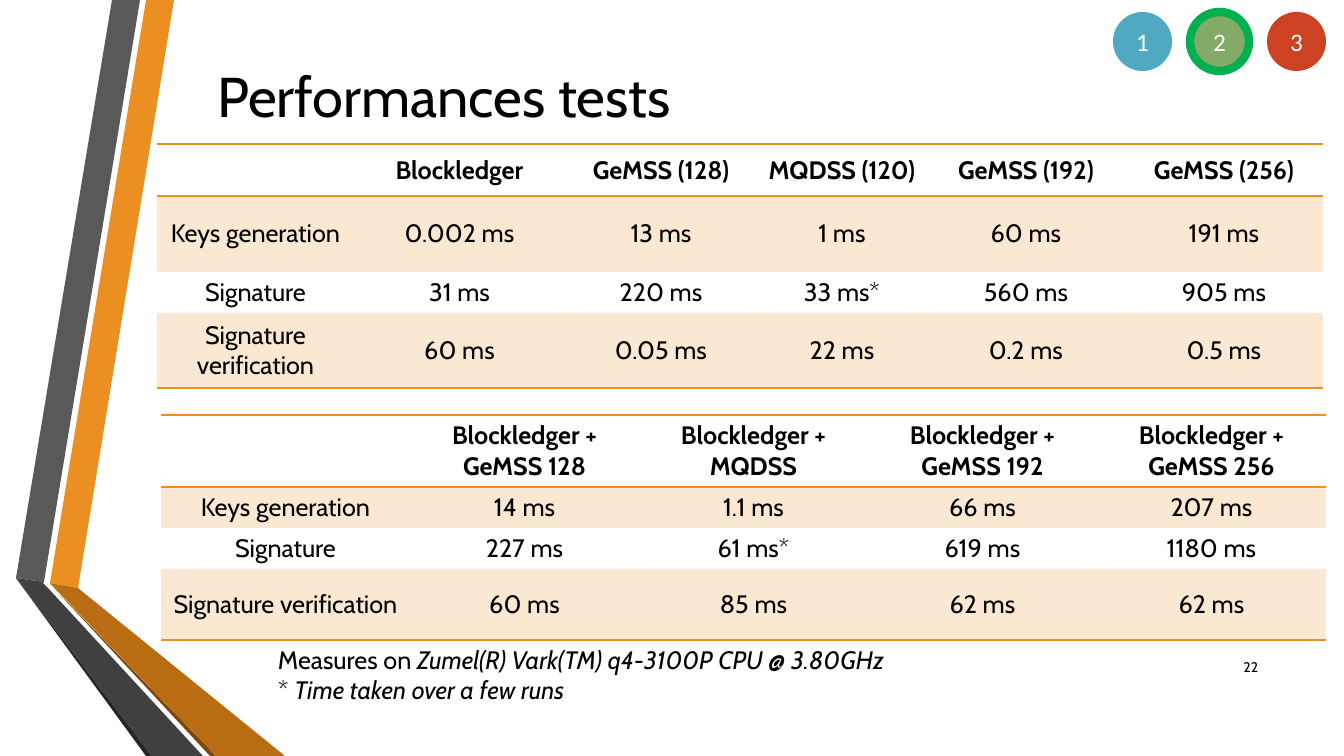
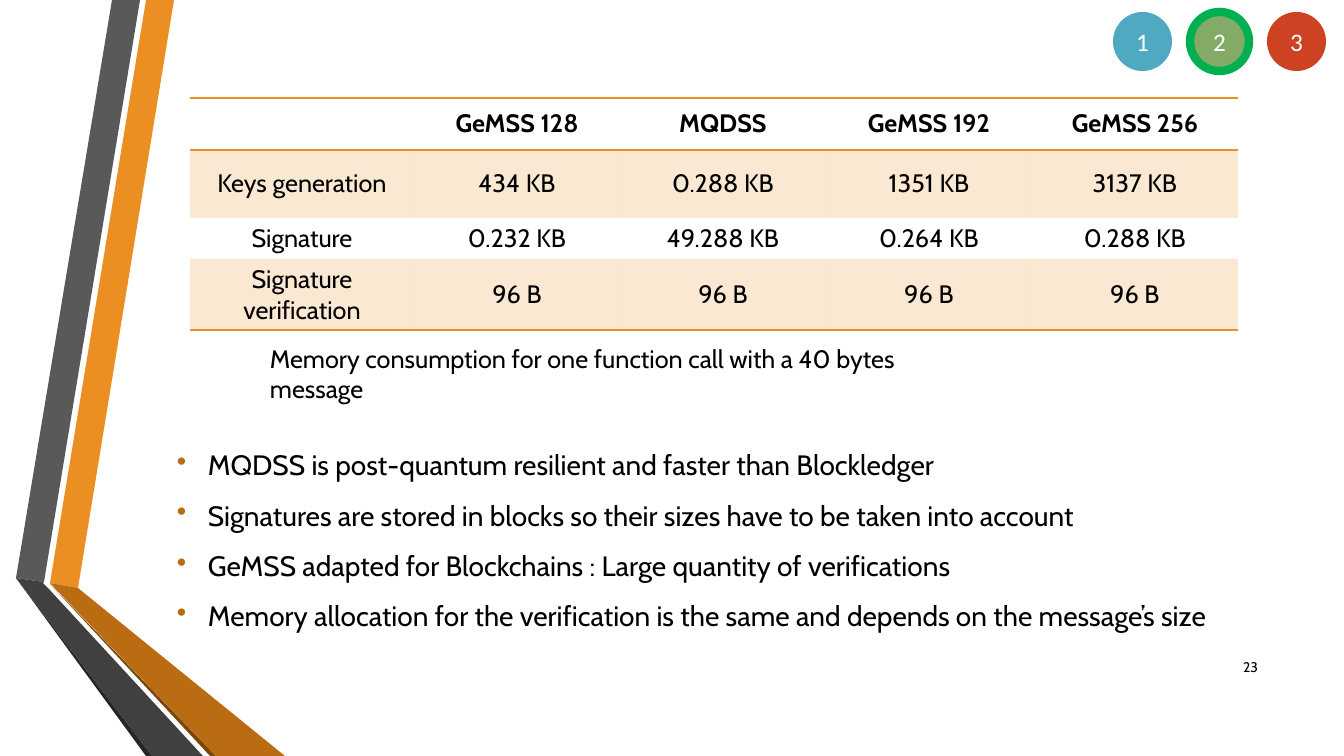
from lxml.etree import Element, SubElement
from pptx import Presentation
from pptx.dml.color import RGBColor
from pptx.enum.shapes import MSO_SHAPE
from pptx.enum.text import MSO_ANCHOR, PP_ALIGN
from pptx.oxml.ns import qn
from pptx.util import Pt

PX = 914400 / 100.8

BLACK = RGBColor(0x00, 0x00, 0x00)
WHITE = RGBColor(0xFF, 0xFF, 0xFF)
ORANGE = RGBColor(0xEB, 0x8F, 0x22)
OCHRE = RGBColor(0xB9, 0x6C, 0x11)
BROWN = RGBColor(0x7B, 0x48, 0x0B)
GRAY = RGBColor(0x59, 0x59, 0x59)
COAL = RGBColor(0x40, 0x40, 0x40)
SOOT = RGBColor(0x26, 0x26, 0x26)
BLUE = RGBColor(0x4F, 0xA9, 0xC1)
SAGE = RGBColor(0x83, 0xAA, 0x67)
GREEN = RGBColor(0x00, 0xB0, 0x50)
RED = RGBColor(0xCD, 0x42, 0x23)

PLAIN_GRID = "{2D5ABB26-0587-4C30-8999-92F81FD0307C}"

BANDS = [
    (ORANGE, [(50, 583), (78, 588), (174, 0), (146, 0)]),
    (GRAY, [(140, 0), (112, 0), (16, 578), (44, 582)]),
    (SOOT, [(16, 578), (146, 756), (152, 756)]),
    (BROWN, [(50, 584), (210, 756), (216, 756)]),
    (OCHRE, [(50, 583), (216, 756), (285, 756), (78, 588)]),
    (COAL, [(203, 756), (48, 588), (43, 583), (44, 582), (16, 578), (152, 756)]),
]
STEPS = [(BLUE, None), (SAGE, GREEN), (RED, None)]


def px(*sizes):
    return [round(size * PX) for size in sizes]


def write(frame, lines, size=18, color=BLACK, font="Cabin", bold=False,
          align=PP_ALIGN.LEFT, space=None, bullet=None):
    frame.word_wrap = True
    for index, line in enumerate(lines):
        para = frame.paragraphs[0] if index == 0 else frame.add_paragraph()
        para.alignment = align
        if space:
            para.line_spacing = space
        if bullet:
            mark(para, bullet)
        for text, slant in [(line, False)] if isinstance(line, str) else line:
            run = para.add_run()
            run.text = text
            face = run.font
            face.name, face.size = font, Pt(size)
            face.bold, face.italic = bold, slant
            face.color.rgb = color


def mark(para, color):
    props = para._p.get_or_add_pPr()
    indent, = px(31)
    props.set("marL", str(indent))
    props.set("indent", str(-indent))
    tint = SubElement(props, qn("a:buClr"))
    SubElement(tint, qn("a:srgbClr"), val=str(color))
    SubElement(props, qn("a:buChar"), char="\u2022")


def rule(cell, sides):
    props = cell._tc.get_or_add_tcPr()
    for place, side in enumerate(sides):
        line = Element(qn(f"a:ln{side}"), w=str(Pt(1)))
        fill = SubElement(line, qn("a:solidFill"))
        SubElement(fill, qn("a:srgbClr"), val=str(ORANGE))
        props.insert(place, line)


def shade(cell):
    cell.fill.solid()
    cell.fill.fore_color.rgb = ORANGE
    tint = cell._tc.tcPr.find(".//" + qn("a:srgbClr"))
    SubElement(tint, qn("a:alpha"), val="20000")


class Deck:
    def __init__(self):
        self.show = Presentation()
        self.show.slide_width, self.show.slide_height = px(1344, 756)

    def start(self, number, title=None):
        layout = self.show.slide_layouts[5 if title else 6]
        self.slide = self.show.slides.add_slide(layout)
        self.shapes = self.slide.shapes
        for color, points in BANDS:
            self.band(color, points)
        if title:
            self.head(title)
        self.note(1208, 647, 60, 40, [str(number)], size=10,
                  align=PP_ALIGN.RIGHT, anchor=MSO_ANCHOR.MIDDLE)
        for index, (color, ring) in enumerate(STEPS):
            self.disc(1113 + 77 * index, 12, 59, str(index + 1), color, ring)

    def head(self, text):
        title = self.shapes.title
        title.left, title.top, title.width, title.height = px(207, 32, 746, 127)
        title.text_frame.vertical_anchor = MSO_ANCHOR.MIDDLE
        write(title.text_frame, [text], size=40)

    def paint(self, shape, color, ring=None):
        shape.shadow.inherit = False
        shape.fill.solid()
        shape.fill.fore_color.rgb = color
        if ring:
            shape.line.color.rgb = ring
            shape.line.width = Pt(6)
        else:
            shape.line.fill.background()

    def band(self, color, points):
        pen = self.shapes.build_freeform(*points[0], scale=PX)
        pen.add_line_segments(points[1:], close=True)
        self.paint(pen.convert_to_shape(), color)

    def disc(self, left, top, size, text, color, ring):
        disc = self.shapes.add_shape(MSO_SHAPE.OVAL, *px(left, top, size, size))
        self.paint(disc, color, ring)
        disc.text_frame.vertical_anchor = MSO_ANCHOR.MIDDLE
        write(disc.text_frame, [text], color=WHITE, font="Calibri",
              align=PP_ALIGN.CENTER)

    def note(self, left, top, width, height, lines, anchor=MSO_ANCHOR.TOP, **style):
        box = self.shapes.add_textbox(*px(left, top, width, height))
        box.text_frame.vertical_anchor = anchor
        write(box.text_frame, lines, **style)

    def table(self, left, top, widths, heights, rows):
        frame = self.shapes.add_table(
            len(rows), len(widths), *px(left, top, sum(widths), sum(heights)))
        grid = frame.table
        grid._tbl.tblPr.find(qn("a:tableStyleId")).text = PLAIN_GRID
        for column, width in zip(grid.columns, px(*widths)):
            column.width = width
        for row, height in zip(grid.rows, px(*heights)):
            row.height = height
        for r, texts in enumerate(rows):
            for c, text in enumerate(texts):
                cell = grid.cell(r, c)
                cell.vertical_anchor = MSO_ANCHOR.MIDDLE
                if text:
                    write(cell.text_frame, [text], bold=r == 0,
                          align=PP_ALIGN.CENTER)
                if r % 2:
                    shade(cell)
                else:
                    cell.fill.background()
                if r == 0:
                    rule(cell, "TB")
                elif r == len(rows) - 1:
                    rule(cell, "B")


deck = Deck()

deck.start(22, "Performances tests")
deck.table(157, 144, [197, 211, 192, 170, 198, 198], [52, 76, 41, 75], [
    ["", "Blockledger", "GeMSS (128)", "MQDSS (120)", "GeMSS (192)", "GeMSS (256)"],
    ["Keys generation", "0.002 ms", "13 ms", "1 ms", "60 ms", "191 ms"],
    ["Signature", "31 ms", "220 ms", "33 ms*", "560 ms", "905 ms"],
    ["Signature verification", "60 ms", "0.05 ms", "22 ms", "0.2 ms", "0.5 ms"],
])
pairs = ["GeMSS 128", "MQDSS", "GeMSS 192", "GeMSS 256"]
deck.table(161, 415, [249] + [229] * 4, [72, 41, 41, 71], [
    [""] + [f"Blockledger + {name}" for name in pairs],
    ["Keys generation", "14 ms", "1.1 ms", "66 ms", "207 ms"],
    ["Signature", "227 ms", "61 ms*", "619 ms", "1180 ms"],
    ["Signature verification", "60 ms", "85 ms", "62 ms", "62 ms"],
])
deck.note(268, 639, 650, 72, [
    [("Measures on", False), (" Zumel(R) Vark(TM) q4-3100P CPU @ 3.80GHz", True)],
    [("* ", False), ("Time taken over a few runs", True)],
])

deck.start(23)
deck.table(190, 98, [224] + [206] * 4, [52, 68, 41, 71], [
    [""] + pairs,
    ["Keys generation", "434 KB", "0.288 KB", "1351 KB", "3137 KB"],
    ["Signature", "0.232 KB", "49.288 KB", "0.264 KB", "0.288 KB"],
    ["Signature verification"] + ["96 B"] * 4,
])
deck.note(260, 338, 720, 72, [
    "Memory consumption for one function call with a 40 bytes message",
])
deck.note(167, 426, 1084, 220, [
    "MQDSS is post-quantum resilient and faster than Blockledger",
    "Signatures are stored in blocks so their sizes have to be taken into account",
    "GeMSS adapted for Blockchains : Large quantity of verifications",
    "Memory allocation for the verification is the same and depends on the message\u2019s size",
], size=20, space=1.5, bullet=OCHRE)

deck.show.save("out.pptx")
